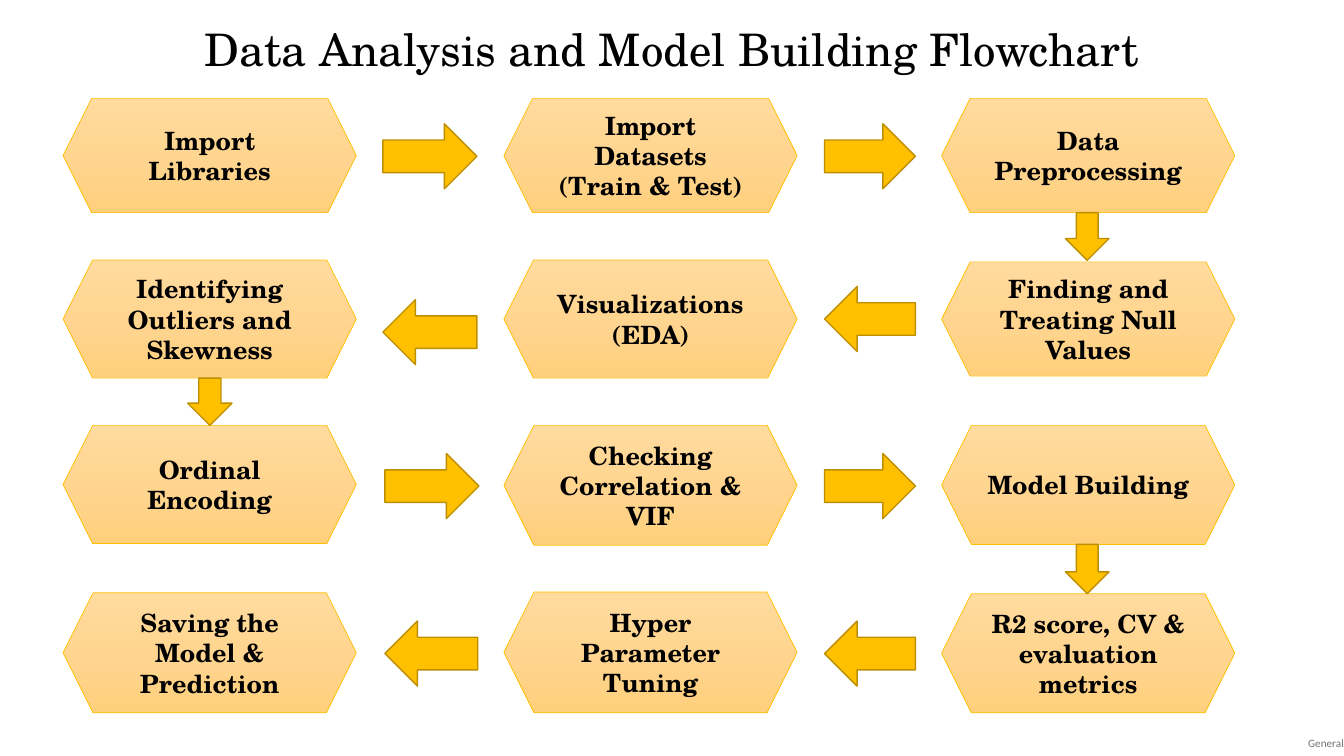
from copy import deepcopy

from pptx import Presentation
from pptx.dml.color import RGBColor
from pptx.enum.shapes import MSO_SHAPE as Shape
from pptx.enum.text import MSO_ANCHOR as Anchor, MSO_AUTO_SIZE as AutoSize, PP_ALIGN as Align
from pptx.util import Cm, Pt

SERIF = "TeX Gyre Schola"
COLUMNS = [1.59, 12.7, 23.73]
STEP_WIDTH = 7.39
GRADIENT = [(0, "FFDB9E"), (0.5, "FFD590"), (1, "FFD07C")]

# Column, top, height, paragraphs, in the order of the flow
STEPS = [
    (0, 2.48, 2.88, ["Import Libraries"]),
    (1, 2.48, 2.88, ["Import Datasets", "(Train & Test)"]),
    (2, 2.48, 2.88, ["Data Preprocessing"]),
    (2, 6.6, 2.88, ["Finding and Treating Null Values"]),
    (1, 6.55, 2.98, ["Visualizations", "(EDA)"]),
    (0, 6.55, 2.98, ["Identifying Outliers and Skewness"]),
    (0, 10.72, 2.98, ["Ordinal Encoding"]),
    (1, 10.72, 3.02, ["Checking Correlation & VIF"]),
    (2, 10.72, 3, ["Model Building"]),
    (2, 14.96, 3, ["R2 score, CV & evaluation metrics"]),
    (1, 14.92, 3.04, ["Hyper Parameter Tuning"]),
    (0, 14.94, 3.02, ["Saving the Model & Prediction"]),
]

# Kind, left, top, width, height
ARROWS = [
    (Shape.RIGHT_ARROW, 9.65, 3.12, 2.37, 1.64),
    (Shape.RIGHT_ARROW, 20.78, 3.12, 2.29, 1.64),
    (Shape.DOWN_ARROW, 26.85, 5.36, 1.1, 1.2),
    (Shape.LEFT_ARROW, 20.78, 7.22, 2.29, 1.64),
    (Shape.LEFT_ARROW, 9.65, 7.55, 2.37, 1.64),
    (Shape.DOWN_ARROW, 4.73, 9.53, 1.12, 1.19),
    (Shape.RIGHT_ARROW, 9.7, 11.43, 2.37, 1.64),
    (Shape.RIGHT_ARROW, 20.78, 11.43, 2.29, 1.64),
    (Shape.DOWN_ARROW, 26.85, 13.72, 1.1, 1.24),
    (Shape.LEFT_ARROW, 20.78, 15.65, 2.29, 1.64),
    (Shape.LEFT_ARROW, 9.7, 15.65, 2.34, 1.64),
]


def color(hex_text):
    return RGBColor.from_string(hex_text)


def write(frame, lines, size, font=SERIF, ink="000000", bold=False,
          align=Align.CENTER, anchor=Anchor.MIDDLE):
    frame.word_wrap = True
    frame.auto_size = AutoSize.NONE
    frame.vertical_anchor = anchor
    for index, line in enumerate(lines):
        para = frame.add_paragraph() if index else frame.paragraphs[0]
        para.alignment = align
        span = para.add_run()
        span.text = line
        span.font.name = font
        span.font.size = Pt(size)
        span.font.bold = bold
        span.font.color.rgb = color(ink)


def add_outlined(page, kind, bounds, line_color, line_width):
    shape = page.shapes.add_shape(kind, *map(Cm, bounds))
    shape.shadow.inherit = False
    shape.line.color.rgb = color(line_color)
    shape.line.width = Pt(line_width)
    return shape


def fill_gradient(fill):
    fill.gradient()
    fill.gradient_angle = 270
    # A new gradient has two stops; a third is added between them
    first = fill.gradient_stops[0]._gs
    first.addnext(deepcopy(first))
    for stop, (position, hex_text) in zip(fill.gradient_stops, GRADIENT):
        stop.position = position
        stop.color.rgb = color(hex_text)


def add_step(page, column, top, height, lines):
    bounds = (COLUMNS[column], top, STEP_WIDTH, height)
    step = add_outlined(page, Shape.HEXAGON, bounds, "FFC000", 0.5)
    fill_gradient(step.fill)
    write(step.text_frame, lines, 18, bold=True)


def add_arrow(page, kind, *bounds):
    arrow = add_outlined(page, kind, bounds, "BD8E00", 1)
    arrow.fill.solid()
    arrow.fill.fore_color.rgb = color("FFC000")


def add_title(page, text):
    title = page.shapes.title
    title.left, title.top, title.width, title.height = map(Cm, (0, 0.41, 33.87, 1.63))
    write(title.text_frame, [text], 32, anchor=Anchor.TOP)


def add_label(page, text):
    box = page.shapes.add_textbox(Cm(32.3), Cm(18.42), Cm(1.57), Cm(0.63))
    frame = box.text_frame
    frame.margin_left = frame.margin_right = frame.margin_top = frame.margin_bottom = 0
    write(frame, [text], 8, font="Calibri", ink="737373", align=Align.RIGHT)


def main():
    deck = Presentation()
    deck.slide_width, deck.slide_height = Cm(33.87), Cm(19.05)
    page = deck.slides.add_slide(deck.slide_layouts[5])

    # Title and classification label
    add_title(page, "Data Analysis and Model Building Flowchart")
    add_label(page, "General")

    # Flowchart
    for step in STEPS:
        add_step(page, *step)
    for arrow in ARROWS:
        add_arrow(page, *arrow)

    deck.save("out.pptx")


if __name__ == "__main__":
    main()
